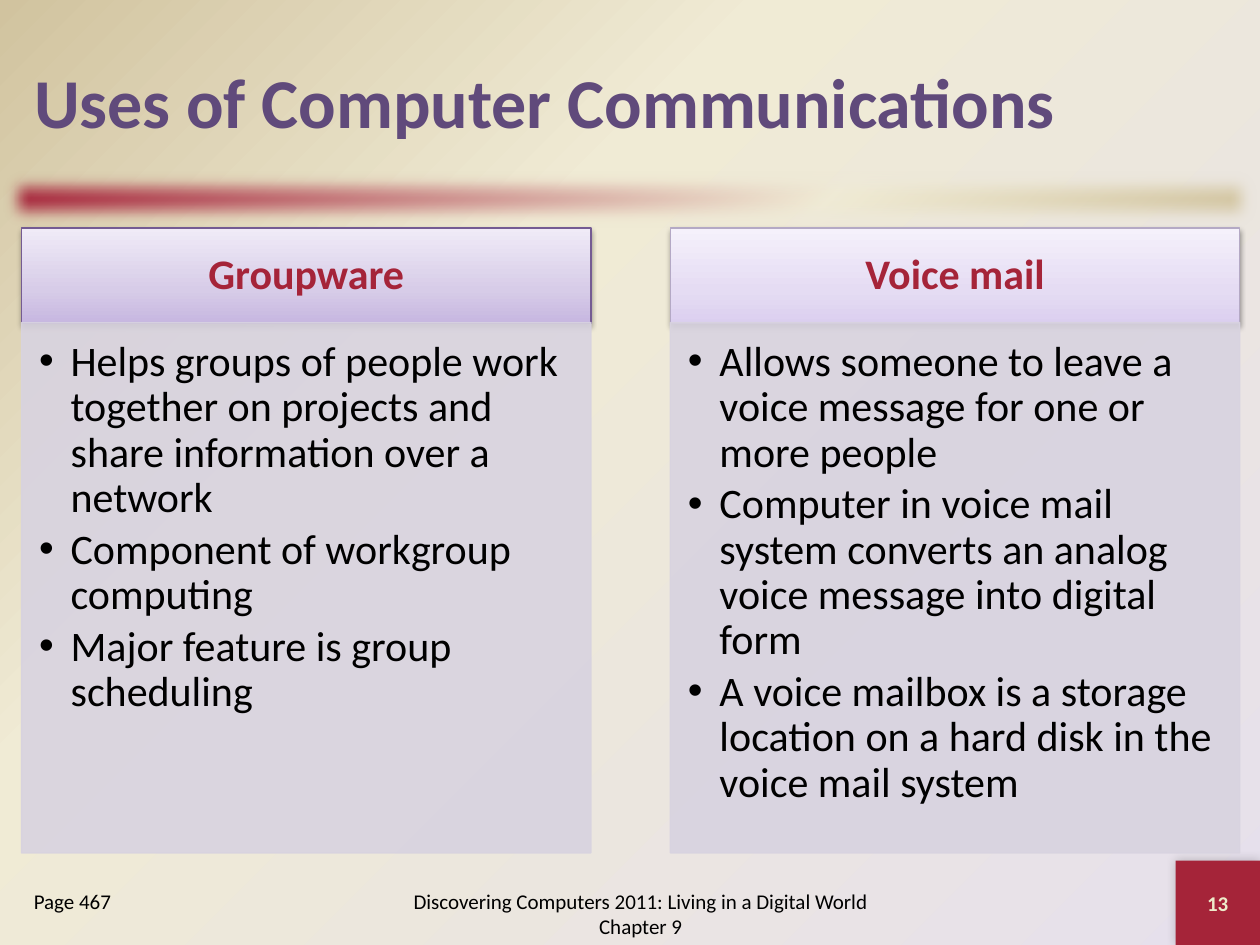
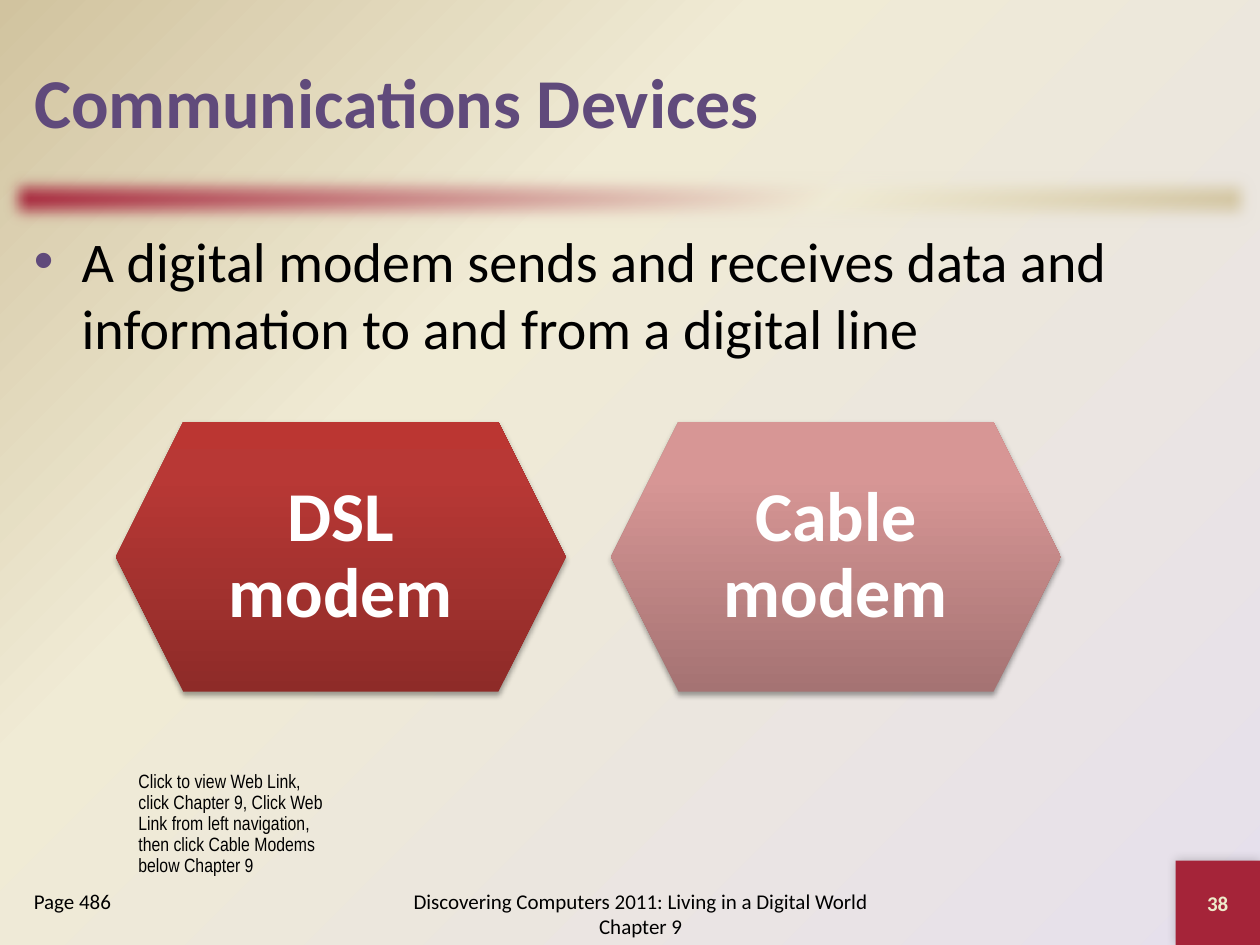
from dataclasses import dataclass
from lxml.etree import SubElement
from pptx import Presentation
from pptx.dml.color import RGBColor
from pptx.enum.shapes import MSO_SHAPE
from pptx.enum.text import MSO_ANCHOR, MSO_AUTO_SIZE, PP_ALIGN
from pptx.oxml.ns import qn
from pptx.util import Inches, Pt


@dataclass(frozen=True)
class Theme:
    # Fonts
    face: str = "Calibri"
    narrow: str = "Arial Narrow"
    # Colours
    red: str = "A52439"
    purple: str = "604A7B"
    cream: str = "EEEBCA"
    panel: str = "D8D3E0"
    black: str = "000000"
    white: str = "FFFFFF"
    # Gradients: position in percent, colour
    paper: tuple = ((0, "E6E0EC"), (65, "F0EBD5"), (100, "D1C39F"))
    band: tuple = ((0, "A52439"), (65, "F0EBD5"), (100, "D1C39F"))
    lilac: tuple = ((0, "C6B6E0"), (35, "D7CCE8"), (100, "F0EBF7"))
    pale: tuple = ((0, "DBCFEF"), (35, "E5DCF3"), (100, "F5F1FB"))
    brick: tuple = ((0, "8E2B28"), (80, "B83835"), (100, "BB3632"))
    rose: tuple = ((0, "A57373"), (80, "D79695"), (100, "D99594"))
    # Type sizes
    big: int = 40
    lead: int = 32
    text: int = 24
    small: int = 12
    tiny: int = 11


T = Theme()
EDGE = 0.17
FOOTER = "Discovering Computers 2011: Living in a Digital World Chapter 9"


def tint(color):
    return RGBColor.from_string(color)


def add(parent, tag, **attrs):
    return SubElement(parent, qn(tag), {k: str(v) for k, v in attrs.items()})


# Fills and effects

def blend(props, stops, angle=None):
    """Swap the solid fill for a gradient; without an angle it is radial."""
    old = props.find(qn("a:solidFill"))
    grad = add(props, "a:gradFill", rotWithShape=1)
    marks = add(grad, "a:gsLst")
    for place, color in stops:
        add(add(marks, "a:gs", pos=place * 1000), "a:srgbClr", val=color)
    if angle is None:
        path = add(grad, "a:path", path="circle")
        add(path, "a:fillToRect", l=100000, t=100000)
    else:
        add(grad, "a:lin", ang=angle * 60000, scaled=1)
    props.replace(old, grad)


def effects(shape):
    return shape._element.spPr.find(qn("a:effectLst"))


def shade(shape, alpha, blur, dist, angle):
    cast = add(effects(shape), "a:outerShdw", blurRad=Pt(blur), dist=Pt(dist),
               dir=angle * 60000, algn="ctr", rotWithShape=0)
    add(add(cast, "a:srgbClr", val=T.black), "a:alpha", val=alpha * 1000)


def block(slide, box, color, kind=MSO_SHAPE.RECTANGLE, edge=None):
    shape = slide.shapes.add_shape(kind, *map(Inches, box))
    shape.shadow.inherit = False
    shape.fill.solid()
    shape.fill.fore_color.rgb = tint(color)
    if edge:
        shape.line.color.rgb = tint(edge)
        shape.line.width = Pt(0.75)
    else:
        shape.line.fill.background()
    return shape


# Text

def dot(para, indent, color):
    props = para._p.get_or_add_pPr()
    props.set("marL", str(Inches(indent)))
    props.set("indent", str(-Inches(indent)))
    add(add(props, "a:buClr"), "a:srgbClr", val=color)
    add(props, "a:buFont", typeface="Arial")
    add(props, "a:buChar", char="•")


def write(shape, lines, size, color=T.black, bold=False, align=PP_ALIGN.LEFT,
          anchor=MSO_ANCHOR.TOP, inset=(0.1, 0.05, 0.1, 0.05), pitch=1.0,
          gap=0, indent=0, mark=T.black, face=T.face):
    frame = shape.text_frame
    frame.word_wrap = True
    frame.auto_size = MSO_AUTO_SIZE.NONE
    frame.vertical_anchor = anchor
    (frame.margin_left, frame.margin_top,
     frame.margin_right, frame.margin_bottom) = map(Inches, inset)
    for i, line in enumerate(lines):
        para = frame.add_paragraph() if i else frame.paragraphs[0]
        para.text = line
        if indent:
            dot(para, indent, mark)
        para.alignment = align
        para.line_spacing = pitch
        para.space_before = Pt(0)
        para.space_after = Pt(gap)
        for run in para.runs:
            run.font.name = face
            run.font.size = Pt(size)
            run.font.bold = bold
            run.font.color.rgb = tint(color)


def label(slide, box, lines, size, **style):
    write(slide.shapes.add_textbox(*map(Inches, box)), lines, size, **style)


# Shared frame: background, band, title, footers

def start(deck, title, page, number):
    slide = deck.slides.add_slide(deck.slide_layouts[5])
    slide.background.fill.solid()
    blend(slide._element.find(".//" + qn("p:bgPr")), T.paper)

    band = block(slide, (0, 1.33, 10, 0.5), T.red)
    blend(band._element.spPr, T.band, 45)
    add(effects(band), "a:softEdge", rad=Pt(10))

    head = slide.shapes.title
    head.left, head.top, head.width, head.height = map(
        Inches, (EDGE, 0.17, 9.67, 1.25))
    write(head, [title], T.big, color=T.purple, bold=True,
          anchor=MSO_ANCHOR.MIDDLE)

    label(slide, (3, 7, 4.17, 0.5), [FOOTER], T.small,
          align=PP_ALIGN.CENTER, anchor=MSO_ANCHOR.MIDDLE)
    label(slide, (EDGE, 7, 1.83, 0.5), [page], T.small)
    badge = block(slide, (9.33, 6.83, 0.67, 0.67), T.red)
    shade(badge, 20, 6, 0, 225)
    write(badge, [number], T.small, color=T.cream, bold=True,
          align=PP_ALIGN.CENTER, anchor=MSO_ANCHOR.MIDDLE)
    return slide


# Content elements

def column(slide, left, name, points, stops, edge):
    width, top, split = 4.52, 1.81, 2.56
    head = block(slide, (left, top, width, 0.76), T.panel, edge=edge)
    blend(head._element.spPr, stops, 270)
    shade(head, 38, 3.1, 1.6, 90)
    write(head, [name], T.text, color=T.red, bold=True,
          align=PP_ALIGN.CENTER, anchor=MSO_ANCHOR.MIDDLE,
          inset=(0.19, 0.11, 0.19, 0.11), pitch=0.9)

    body = block(slide, (left, split, width, 4.21), T.panel, edge=T.panel)
    for color in body._element.spPr.iter(qn("a:srgbClr")):
        add(color, "a:alpha", val=90000)
    write(body, points, T.text, inset=(0.14, 0.14, 0.19, 0.21),
          pitch=0.9, gap=3.6, indent=0.25)


def modem(slide, left, name, stops):
    cell = block(slide, (left, 3.35, 3.57, 2.14), T.red, MSO_SHAPE.HEXAGON)
    blend(cell._element.spPr, stops, 270)
    shade(cell, 35, 3.1, 1.8, 90)
    write(cell, [name], T.big, color=T.white, bold=True,
          align=PP_ALIGN.CENTER, anchor=MSO_ANCHOR.MIDDLE,
          inset=(0.17,) * 4, pitch=0.9)


# Slides

def uses(deck):
    slide = start(deck, "Uses of Computer Communications", "Page 467", "13")
    columns = (
        ("Groupware", T.lilac, "745B93", (
            "Helps groups of people work together on projects and share "
            "information over a network",
            "Component of workgroup computing",
            "Major feature is group scheduling")),
        ("Voice mail", T.pale, "B4A9C5", (
            "Allows someone to leave a voice message for one or more people",
            "Computer in voice mail system converts an analog voice message "
            "into digital form",
            "A voice mailbox is a storage location on a hard disk in the "
            "voice mail system")),
    )
    for i, (name, stops, edge, points) in enumerate(columns):
        column(slide, EDGE + i * 5.15, name, points, stops, edge)


def tools(deck):
    slide = start(deck, "Communications Devices", "Page 486", "38")
    label(slide, (EDGE, 1.75, 9.67, 1.4),
          ["A digital modem sends and receives data and information to and "
           "from a digital line"], T.lead, indent=0.38, mark=T.purple)
    modems = (("DSL modem", T.brick), ("Cable modem", T.rose))
    for i, (name, stops) in enumerate(modems):
        modem(slide, 0.92 + i * 3.93, name, stops)
    label(slide, (1, 6.08, 1.92, 0.93),
          ["Click to view Web Link,\nclick Chapter 9, Click Web\n"
           "Link from left navigation,",
           "then click Cable Modems\nbelow Chapter 9"],
          T.tiny, pitch=0.9, face=T.narrow)


def main():
    deck = Presentation()
    deck.slide_width, deck.slide_height = Inches(10), Inches(7.5)
    uses(deck)
    tools(deck)
    deck.save("out.pptx")


if __name__ == "__main__":
    main()
